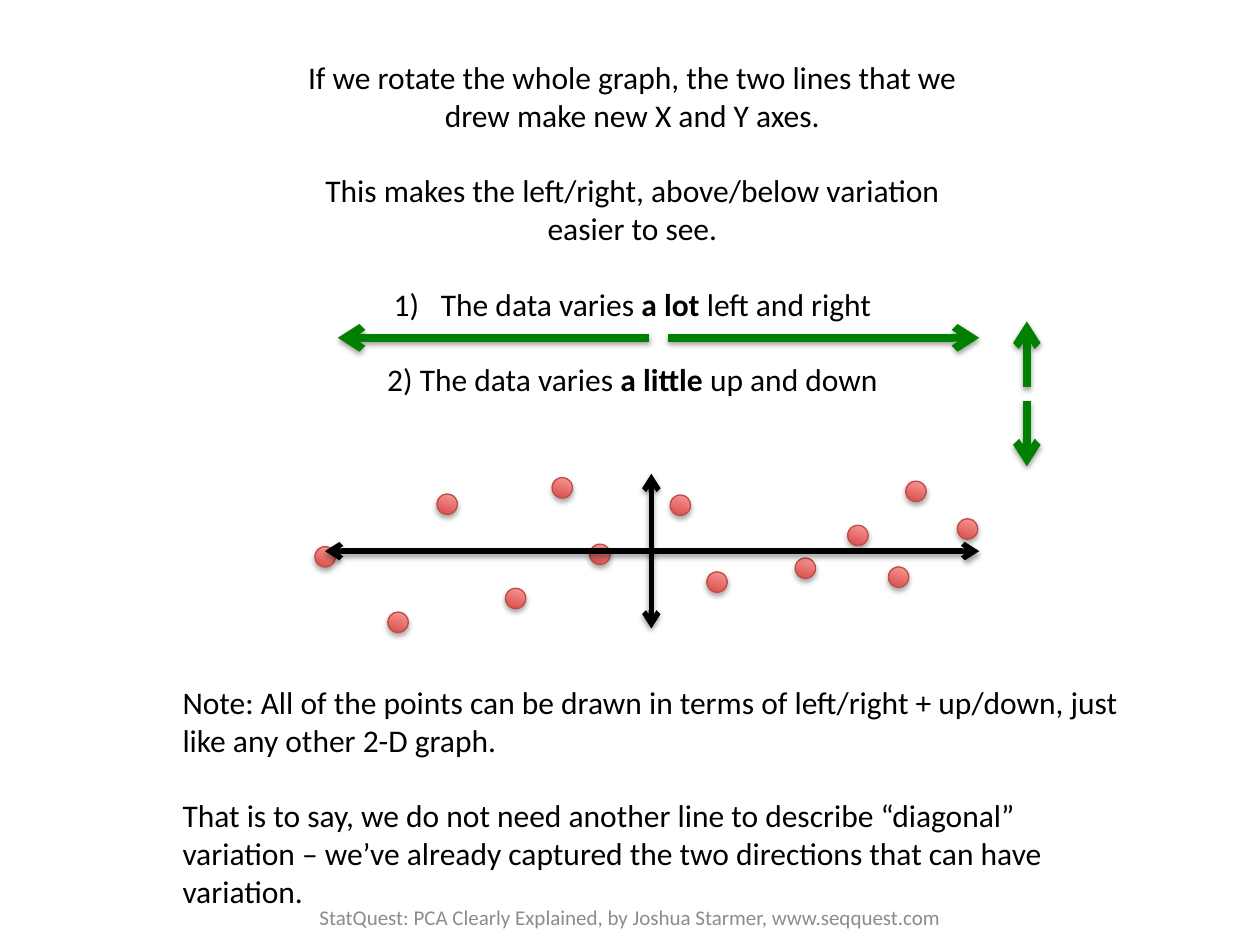
from dataclasses import dataclass

from lxml.etree import SubElement
from pptx import Presentation
from pptx.dml.color import RGBColor
from pptx.enum.shapes import MSO_CONNECTOR, MSO_SHAPE
from pptx.enum.text import MSO_ANCHOR, PP_ALIGN
from pptx.oxml.ns import qn
from pptx.util import Cm, Pt


@dataclass(frozen=True)
class Theme:
    """Colours, font and sizes of the slide."""
    font: str = "Calibri"
    text: str = "000000"
    footer: str = "8C8C8C"
    axis: str = "000000"
    variation: str = "008000"
    point_dark: str = "D1403C"
    point_light: str = "FFA6A5"
    point_line: str = "BF4C48"
    body_size: float = 18
    footer_size: float = 12
    paragraph_gap: float = 21.6
    axis_width: float = 3
    variation_width: float = 4.5


@dataclass(frozen=True)
class Box:
    """A region of the slide in centimetres."""
    left: float
    top: float
    width: float
    height: float


THEME = Theme()
POINT_SIZE = 0.41
POINTS = [
    (0, 1.47), (2.46, 0.41), (1.47, 2.79), (3.84, 2.31), (12.95, 0.91),
    (11.56, 1.88), (7.16, 0.43), (5.54, 1.42), (4.78, 0.08), (10.74, 1.04),
    (11.91, 0.15), (9.68, 1.7), (7.9, 1.98),
]
EXPLANATION = [
    [("If we rotate the whole graph, the two lines that we drew make new X and Y axes.", False)],
    [("This makes the left/right, above/below variation easier to see.", False)],
    [("The data varies ", False), ("a lot", True), (" left and right", False)],
    [("2) The data varies ", False), ("a little ", True), ("up and down", False)],
]
NOTE = [
    [("Note: All of the points can be drawn in terms of left/right + up/down, "
      "just like any other 2-D graph.", False)],
    [("That is to say, we do not need another line to describe “diagonal” variation – "
      "we’ve already captured the two directions that can have variation.", False)],
]
FOOTER = [[("StatQuest: PCA Clearly Explained, by Joshua Starmer, www.seqquest.com", False)]]


def add_shadow(shape, distance, opacity):
    """Give a shape a soft shadow straight below it."""
    effects = SubElement(shape._element.spPr, qn("a:effectLst"))
    shadow = SubElement(effects, qn("a:outerShdw"), blurRad=str(Pt(3.1)),
                        dist=str(Pt(distance)), dir="5400000", rotWithShape="0")
    color = SubElement(shadow, qn("a:srgbClr"), val="000000")
    SubElement(color, qn("a:alpha"), val=str(opacity * 1000))


def add_arrow(shapes, start, end, color, width, both_ends=False):
    """Draw a straight arrow between two points in centimetres."""
    line = shapes.add_connector(MSO_CONNECTOR.STRAIGHT, *map(Cm, start + end))
    line.line.color.rgb = RGBColor.from_string(color)
    line.line.width = Pt(width)
    outline = line.line._get_or_add_ln()
    if both_ends:
        SubElement(outline, qn("a:headEnd"), type="arrow")
    SubElement(outline, qn("a:tailEnd"), type="arrow")
    add_shadow(line, 1.6, 38)


def add_point(shapes, left, top):
    """Draw one data point."""
    point = shapes.add_shape(MSO_SHAPE.OVAL, Cm(left), Cm(top), Cm(POINT_SIZE), Cm(POINT_SIZE))
    point.rotation = 18
    point.fill.gradient()
    point.fill.gradient_angle = 90
    for stop, color in zip(point.fill.gradient_stops, (THEME.point_dark, THEME.point_light)):
        stop.color.rgb = RGBColor.from_string(color)
    point.line.color.rgb = RGBColor.from_string(THEME.point_line)
    point.line.width = Pt(0.75)
    add_shadow(point, 1.8, 35)


def add_plot(slide, box):
    """Draw the data points and the two axes as one group."""
    shapes = slide.shapes.add_group_shape().shapes
    for left, top in POINTS:
        add_point(shapes, box.left + left, box.top + top)
    right, bottom = box.left + box.width, box.top + box.height
    middle_x, middle_y = box.left + 6.78, box.top + box.height / 2
    for start, end in (((box.left + 0.2, middle_y), (right, middle_y)),
                       ((middle_x, box.top), (middle_x, bottom))):
        add_arrow(shapes, start, end, THEME.axis, THEME.axis_width, both_ends=True)


def add_variation_arrows(slide, box, gap):
    """Draw two arrows that point outwards along the long side of a box."""
    horizontal = box.width > box.height
    first, length, across = ((box.left, box.width, box.top) if horizontal
                             else (box.top, box.height, box.left))
    middle = first + length / 2
    for start, end in ((middle + gap / 2, first + length), (middle - gap / 2, first)):
        ends = [(along, across) if horizontal else (across, along) for along in (start, end)]
        add_arrow(slide.shapes, *ends, THEME.variation, THEME.variation_width)


def add_text(slide, box, paragraphs, size=THEME.body_size, color=THEME.text,
             align=PP_ALIGN.LEFT, anchor=MSO_ANCHOR.TOP, numbered=None):
    """Place paragraphs of (text, bold) runs in a box."""
    shape = slide.shapes.add_textbox(Cm(box.left), Cm(box.top), Cm(box.width), Cm(box.height))
    frame = shape.text_frame
    frame.word_wrap = True
    frame.vertical_anchor = anchor
    for index, runs in enumerate(paragraphs):
        paragraph = frame.add_paragraph() if index else frame.paragraphs[0]
        paragraph.alignment = align
        if index:
            paragraph.space_before = Pt(THEME.paragraph_gap)
        if index == numbered:
            properties = paragraph._p.get_or_add_pPr()
            properties.set("marL", str(Cm(0.95)))
            properties.set("indent", str(-Cm(0.95)))
            SubElement(properties, qn("a:buAutoNum"), type="arabicParenR")
        for text, bold in runs:
            run = paragraph.add_run()
            run.text = text
            run.font.name = THEME.font
            run.font.size = Pt(size)
            run.font.bold = bold
            run.font.color.rgb = RGBColor.from_string(color)


def main():
    """Build the slide and save it."""
    presentation = Presentation()
    presentation.slide_width, presentation.slide_height = Cm(25.4), Cm(19.05)
    slide = presentation.slides.add_slide(presentation.slide_layouts[6])
    add_plot(slide, Box(6.35, 9.55, 13.39, 3.12))
    add_text(slide, Box(5.69, 1.04, 14.12, 8.71), EXPLANATION,
             align=PP_ALIGN.CENTER, numbered=2)
    add_variation_arrows(slide, Box(6.81, 6.81, 12.93, 0), gap=0.38)
    add_variation_arrows(slide, Box(20.7, 6.48, 0, 2.92), gap=0.28)
    add_text(slide, Box(3.43, 13.64, 19.56, 4.88), NOTE)
    add_text(slide, Box(4.78, 17.98, 15.85, 1.02), FOOTER, size=THEME.footer_size,
             color=THEME.footer, align=PP_ALIGN.CENTER, anchor=MSO_ANCHOR.MIDDLE)
    presentation.save("out.pptx")


if __name__ == "__main__":
    main()
